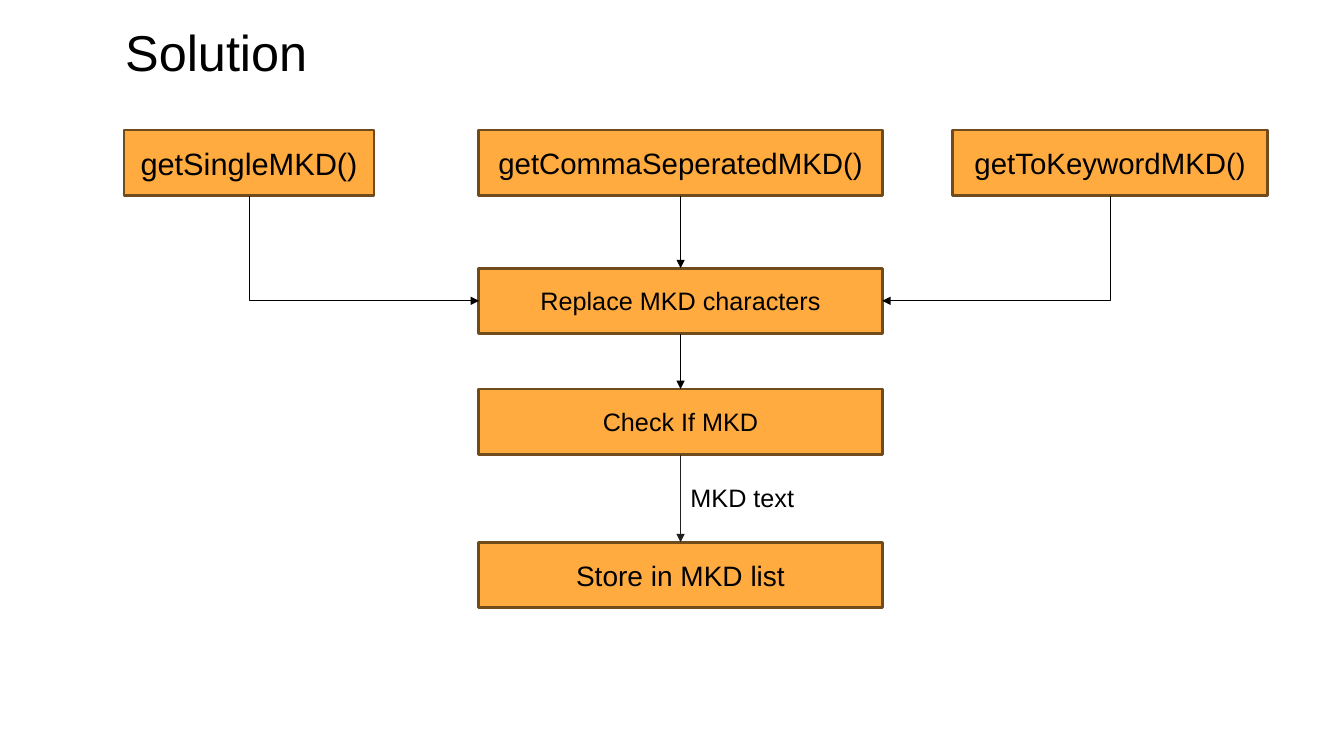
"""Build the flow chart slide of the MKD solution."""
from pptx import Presentation, util as u
from pptx.dml.color import RGBColor
from pptx.enum import shapes, text
from pptx.oxml import parse_xml
from pptx.oxml.ns import nsdecls

SIZE = (13.33, 7.5)
HEX = {"box": "FFAB40", "edge": "704B1C", "ink": "000000", "soft": "202020"}
FONT = "Arial"
TITLE = ("Solution", 36, (0.45, 0.26, 3.39, 0.49))
COLS = {"left": (1.23, 2.48), "mid": (4.75, 4), "right": (9.45, 3.12)}
ROWS = (1.29, 2.66, 3.86, 5.38)
HIGH = 0.65
BOXES = {
    "single": ("getSingleMKD()", 22, "left", 0),
    "comma": ("getCommaSeperatedMKD()", 21, "mid", 0),
    "key": ("getToKeywordMKD()", 21, "right", 0),
    "swap": ("Replace MKD characters", 18, "mid", 1),
    "check": ("Check If MKD", 18, "mid", 2),
    "store": ("Store in MKD list", 20, "mid", 3),
}
DOWN = (("comma", "swap", "ink"), ("swap", "check", "ink"), ("check", "store", "soft"))
BENDS = (("single", "swap", 1), ("key", "swap", 3))
LABEL = ("MKD text", 18, (6.75, 4.74, 1.31, 0.4))


def tone(name):
    return RGBColor.from_string(HEX[name])


def write(shape, words, size, align, anchor):
    frame = shape.text_frame
    frame.word_wrap = True
    frame.vertical_anchor = anchor
    para = frame.paragraphs[0]
    para.alignment = align
    run = para.add_run()
    run.text = words
    run.font.size = u.Pt(size)
    run.font.name = FONT
    run.font.color.rgb = tone("ink")


def place(shape, spot):
    shape.left, shape.top, shape.width, shape.height = map(u.Inches, spot)


def add_box(slide, words, size, col, row):
    left, width = COLS[col]
    spot = map(u.Inches, (left, ROWS[row], width, HIGH))
    box = slide.shapes.add_shape(shapes.MSO_SHAPE.RECTANGLE, *spot)
    box.shadow.inherit = False
    box.fill.solid()
    box.fill.fore_color.rgb = tone("box")
    box.line.color.rgb = tone("edge")
    box.line.width = u.Pt(2)
    write(box, words, size, text.PP_ALIGN.CENTER, text.MSO_ANCHOR.MIDDLE)
    return box


def join(slide, kind, start, end, side, ink):
    link = slide.shapes.add_connector(kind, 0, 0, 0, 0)
    link.begin_connect(start, 2)
    link.end_connect(end, side)
    link.line.color.rgb = tone(ink)
    link.line.width = u.Pt(0.75)
    link.line._get_or_add_ln().append(parse_xml(f'<a:tailEnd {nsdecls("a")} type="triangle"/>'))
    link._element.spPr.append(parse_xml(f'<a:effectLst {nsdecls("a")}/>'))
    return link


def bend(link, start, end, side):
    """Turn a joined connector into one corner: down, then across."""
    x0, y0 = start.left + start.width // 2, start.top + start.height
    x1 = end.left if side == 1 else end.left + end.width
    y1 = end.top + end.height // 2
    wide, high = y1 - y0, abs(x1 - x0)
    link.left, link.top = (x0 + x1 - wide) // 2, (y0 + y1 - high) // 2
    link.width, link.height = wide, high
    link.rotation = 270 if side == 1 else 90
    props = link._element.spPr
    props.xfrm.flipH, props.xfrm.flipV = side == 1, False
    props.prstGeom.set("prst", "bentConnector2")


def main():
    deck = Presentation()
    deck.slide_width, deck.slide_height = map(u.Inches, SIZE)
    slide = deck.slides.add_slide(deck.slide_layouts[5])
    words, size, spot = TITLE
    title = slide.shapes.title
    place(title, spot)
    write(title, words, size, text.PP_ALIGN.CENTER, text.MSO_ANCHOR.MIDDLE)
    frame = title.text_frame
    frame.auto_size = text.MSO_AUTO_SIZE.NONE
    frame.margin_left = frame.margin_right = u.Inches(0.1)
    frame.margin_top = frame.margin_bottom = u.Inches(0.1)

    boxes = {name: add_box(slide, *parts) for name, parts in BOXES.items()}
    for start, end, ink in DOWN:
        join(slide, shapes.MSO_CONNECTOR.STRAIGHT, boxes[start], boxes[end], 0, ink)
    for start, end, side in BENDS:
        ends = boxes[start], boxes[end], side
        bend(join(slide, shapes.MSO_CONNECTOR.ELBOW, *ends, "ink"), *ends)

    words, size, spot = LABEL
    label = slide.shapes.add_textbox(*map(u.Inches, spot))
    write(label, words, size, text.PP_ALIGN.LEFT, text.MSO_ANCHOR.TOP)
    label.text_frame.auto_size = text.MSO_AUTO_SIZE.SHAPE_TO_FIT_TEXT
    deck.save("out.pptx")


if __name__ == "__main__":
    main()
